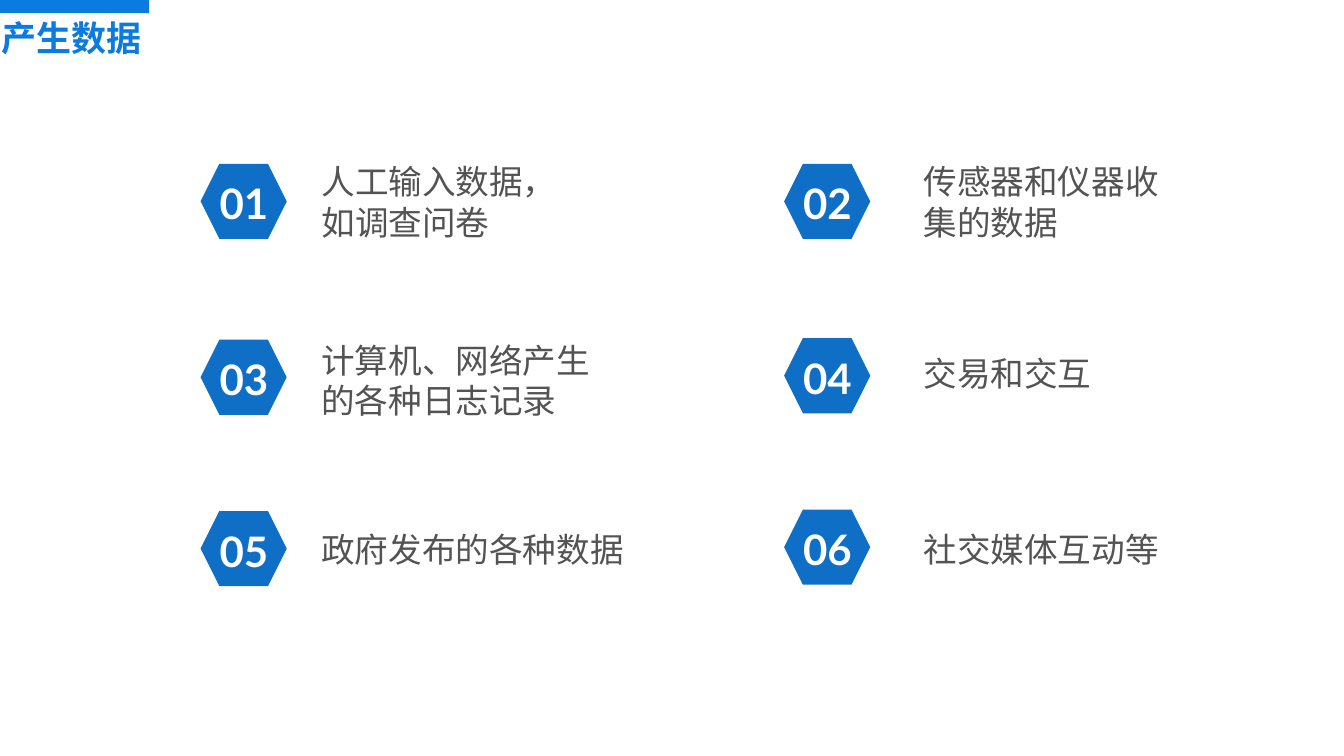
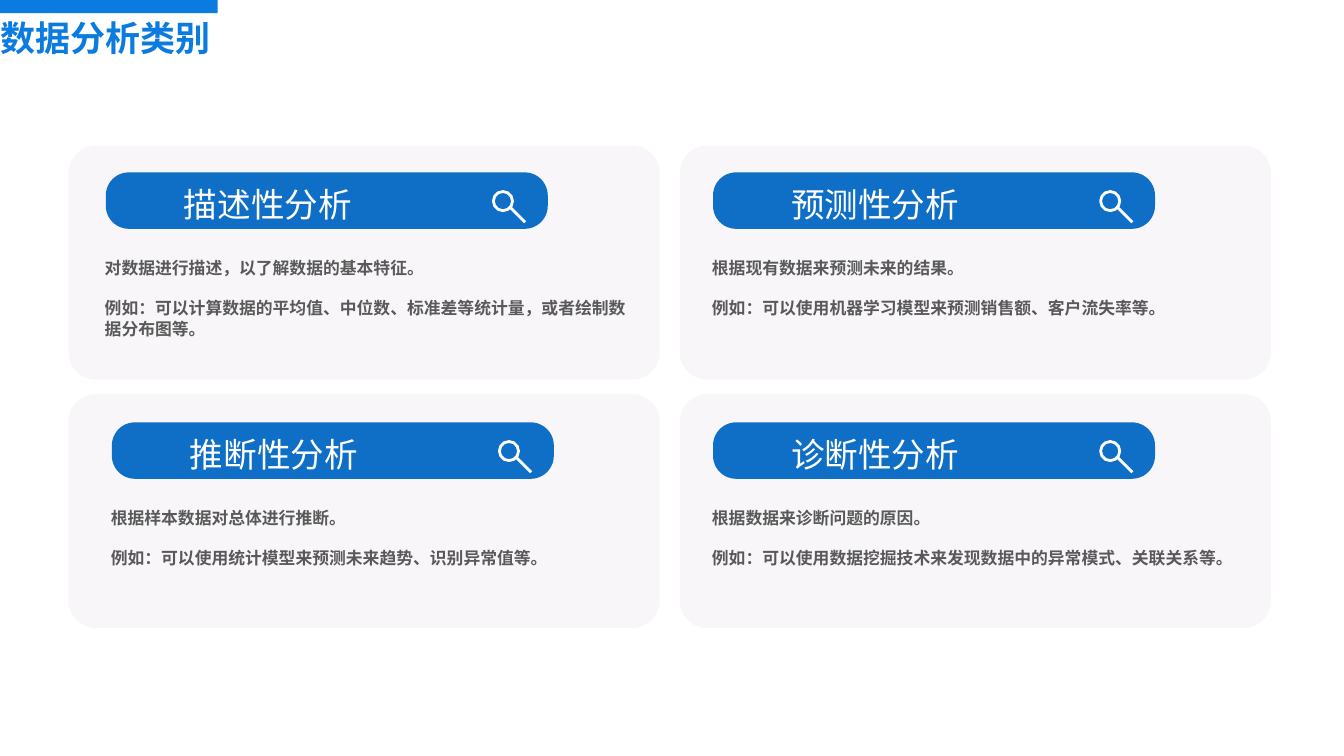
from lxml import etree
from pptx import Presentation
from pptx.dml.color import RGBColor
from pptx.enum import shapes, text
from pptx.oxml.ns import qn
from pptx.util import Inches, Pt

BLUE, TITLE_BLUE, CARD = "0F6FC6", "0C7BE0", "F8F6F9"
WHITE, GREY, DARK = "FFFFFF", "535353", "595959"
CJK, LATIN = "Noto Sans CJK JP", "Lato"
LINE = 1.2  # line height as a multiple of the text size

# number, hexagon left and top, text box left, top, width, height, text
SOURCES = [
    ("01", 3.98, 3.25, 6.28, 3.1, 5.15, 1.72, "人工输入数据，如调查问卷"),
    ("02", 15.56, 3.25, 18.23, 3.1, 4.9, 1.72, "传感器和仪器收集的数据"),
    ("03", 3.98, 6.74, 6.28, 6.64, 6, 1.72, "计算机、网络产生的各种日志记录"),
    ("04", 15.56, 6.71, 18.23, 6.91, 3.53, 0.91, "交易和交互"),
    ("05", 3.98, 10.14, 6.28, 10.4, 6.2, 0.91, "政府发布的各种数据"),
    ("06", 15.56, 10.11, 18.23, 10.4, 4.87, 0.91, "社交媒体互动等"),
]

# heading, offset of the heading bar in its card, description, example
ANALYSES = [
    ("描述性分析", 0.74, 0.53, "对数据进行描述，以了解数据的基本特征。",
     "例如：可以计算数据的平均值、中位数、标准差等统计量，或者绘制数据分布图等。"),
    ("预测性分析", 0.66, 0.53, "根据现有数据来预测未来的结果。",
     "例如：可以使用机器学习模型来预测销售额、客户流失率等。"),
    ("推断性分析", 0.86, 0.56, "根据样本数据对总体进行推断。",
     "例如：可以使用统计模型来预测未来趋势、识别异常值等。"),
    ("诊断性分析", 0.66, 0.56, "根据数据来诊断问题的原因。",
     "例如：可以使用数据挖掘技术来发现数据中的异常模式、关联关系等。"),
]


def rgb(value):
    return RGBColor.from_string(value)


def add_shape(s, kind, x, y, w, h, fill=None, line=None, adj=None):
    sp = s.shapes.add_shape(kind, Inches(x), Inches(y), Inches(w), Inches(h))
    sp.shadow.inherit = False
    if fill:
        sp.fill.solid()
        sp.fill.fore_color.rgb = rgb(fill)
    else:
        sp.fill.background()
    if line:
        sp.line.color.rgb = rgb(line)
        sp.line.width = Pt(4)
    else:
        sp.line.fill.background()
    if adj is not None:
        sp.adjustments[0] = adj
    return sp


def write(sp, paragraphs, size, color, font=CJK, bold=False, wrap=True,
          align=text.PP_ALIGN.LEFT, inset=(0.1, 0.05)):
    """Fill a text box or placeholder; Chinese lines get an exact height."""
    tf = sp.text_frame
    tf.text = "\n".join(paragraphs)
    tf.word_wrap = wrap
    tf.auto_size = text.MSO_AUTO_SIZE.NONE
    tf.vertical_anchor = text.MSO_ANCHOR.TOP
    tf.margin_left = tf.margin_right = Inches(inset[0])
    tf.margin_top = tf.margin_bottom = Inches(inset[1])
    if font == CJK:
        tf.margin_top = Inches(inset[1]) + Pt(size * 0.075)
    for i, p in enumerate(tf.paragraphs):
        p.alignment = align
        p.space_before = Pt(size * LINE if i else 0)
        if font == CJK:
            p.line_spacing = Pt(size * LINE)
        for r in p.runs:
            r.font.size = Pt(size)
            r.font.bold = bold
            r.font.color.rgb = rgb(color)
            r.font.name = font
            ea = etree.SubElement(r.font._element, qn("a:ea"))
            ea.set("typeface", font)


def add_text(s, x, y, w, h, paragraphs, size, color, **style):
    tb = s.shapes.add_textbox(Inches(x), Inches(y), Inches(w), Inches(h))
    write(tb, paragraphs, size, color, **style)


def add_titled_slide(prs, title, x, w, bar_width):
    """A slide with the short top bar and the title beneath it."""
    s = prs.slides.add_slide(prs.slide_layouts[5])
    add_shape(s, shapes.MSO_SHAPE.RECTANGLE, -0.02, 0, bar_width, 0.26, TITLE_BLUE)
    sp = s.shapes.title
    sp.left, sp.top, sp.width, sp.height = map(Inches, (x, 0.28, w, 1.11))
    write(sp, [title], 50, TITLE_BLUE, bold=True, inset=(0, 0))
    return s


def add_number(s, x, y, number):
    add_shape(s, shapes.MSO_SHAPE.HEXAGON, x, y, 1.71, 1.49, BLUE)
    add_text(s, x + 0.27, y + 0.23, 1.18, 1.11, [number], 60, WHITE, font=LATIN,
             bold=True, wrap=False, align=text.PP_ALIGN.CENTER)


def add_magnifier(s, x, y):
    add_shape(s, shapes.MSO_SHAPE.OVAL, x, y, 0.38, 0.38, line=WHITE)
    handle = s.shapes.add_connector(
        shapes.MSO_CONNECTOR.STRAIGHT, Inches(x + 0.32), Inches(y + 0.3),
        Inches(x + 0.63), Inches(y + 0.61))
    handle.line.color.rgb = rgb(WHITE)
    handle.line.width = Pt(4)
    etree.SubElement(handle._element.spPr, qn("a:effectLst"))


def add_card(s, x, y, heading, dx, dy, description, example):
    rounded = shapes.MSO_SHAPE.ROUNDED_RECTANGLE
    add_shape(s, rounded, x, y, 11.73, 4.64, CARD, adj=0.117)
    # Heading bar
    bx, by = x + dx, y + dy
    add_shape(s, rounded, bx, by, 8.77, 1.12, BLUE, adj=0.408)
    add_magnifier(s, bx + 7.69, by + 0.38)
    add_text(s, bx + 1.45, by + 0.12, 3.53, 0.91, [heading], 48, WHITE, wrap=False)
    # Body
    add_text(s, bx - 0.12, by + 1.62, 10.64, 1.72, [description, example], 24,
             DARK, bold=True)


def build_sources(prs):
    s = add_titled_slide(prs, "产生数据", 0.03, 6.48, 2.98)
    for number, hx, hy, x, y, w, h, label in SOURCES:
        add_number(s, hx, hy, number)
        add_text(s, x, y, w, h, [label], 48, GREY, wrap=h > 1)


def build_analyses(prs):
    s = add_titled_slide(prs, "数据分析类别", 0.01, 4.69, 4.34)
    for i, analysis in enumerate(ANALYSES):
        row, col = divmod(i, 2)
        add_card(s, 1.36 + col * 12.13, 2.89 + row * 4.93, *analysis)


def main():
    prs = Presentation()
    prs.slide_width, prs.slide_height = Inches(26.67), Inches(15)
    build_sources(prs)
    build_analyses(prs)
    prs.save("out.pptx")


if __name__ == "__main__":
    main()
